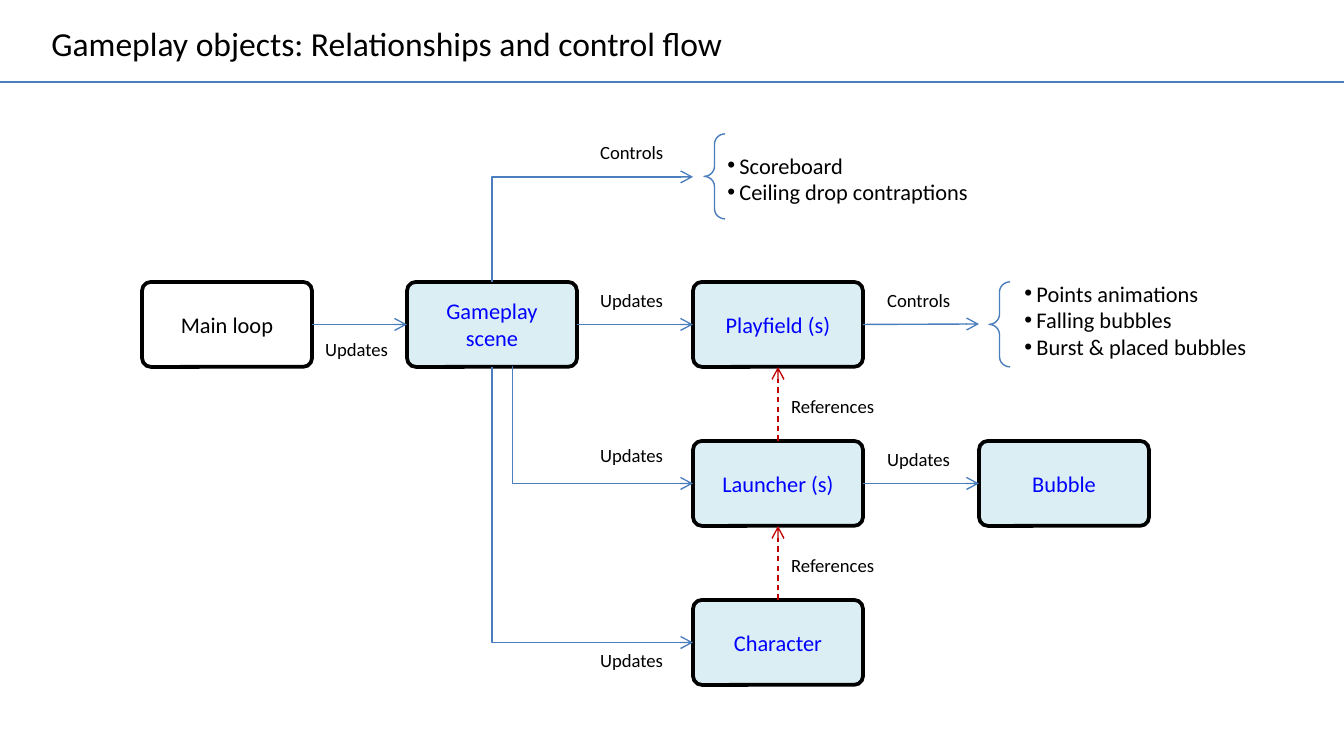
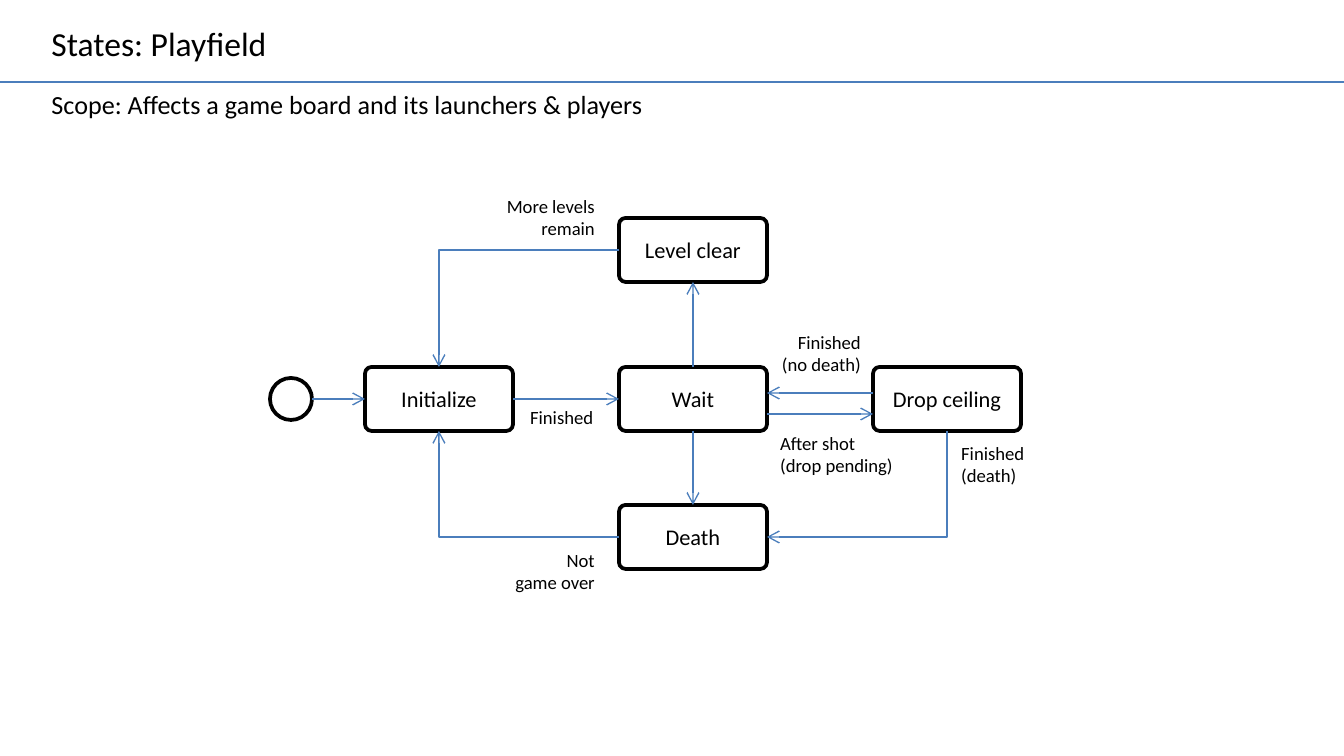
from pptx import Presentation
from pptx.dml.color import RGBColor
from pptx.enum.dml import MSO_LINE
from pptx.enum.shapes import MSO_CONNECTOR, MSO_SHAPE
from pptx.enum.text import MSO_ANCHOR, MSO_AUTO_SIZE, PP_ALIGN
from pptx.oxml.ns import qn
from pptx.util import Pt
from lxml import etree

SCALE = 914400 / 134.4
WIDE, HIGH = 1344, 756
FONT = "Calibri"
BLACK, WHITE, PALE = "000000", "FFFFFF", "DBEEF4"
LINK, WIRE, REF = "0000FF", "4B7EBC", "C00000"
LEFT, MID, RIGHT = PP_ALIGN.LEFT, PP_ALIGN.CENTER, PP_ALIGN.RIGHT
TOP, CENTRE = MSO_ANCHOR.TOP, MSO_ANCHOR.MIDDLE
FIXED = MSO_AUTO_SIZE.NONE
DASH = MSO_LINE.DASH
ROUND, OVAL, BRACE = MSO_SHAPE.ROUNDED_RECTANGLE, MSO_SHAPE.OVAL, MSO_SHAPE.LEFT_BRACE
STRAIGHT, ELBOW = MSO_CONNECTOR.STRAIGHT, MSO_CONNECTOR.ELBOW
UP, WEST, DOWN, EAST = range(4)


def emu(px):
    """Turn pixels into EMU."""
    return round(px * SCALE)


def hue(code):
    """Turn a hex string into a colour."""
    return RGBColor.from_string(code)


def place(shape, box):
    """Move and size a shape to a pixel box."""
    shape.left, shape.top, shape.width, shape.height = map(emu, box)


def write(frame, lines, size, color=BLACK, align=LEFT, anchor=TOP, wrap=True):
    """Fill a text frame with one paragraph per line."""
    frame.word_wrap = wrap
    frame.auto_size = FIXED
    frame.vertical_anchor = anchor
    for i, line in enumerate(lines):
        para = frame.add_paragraph() if i else frame.paragraphs[0]
        para.alignment = align
        para.space_before = Pt(0)
        run = para.add_run()
        run.text = line
        font = run.font
        font.name, font.size = FONT, Pt(size)
        font.color.rgb = hue(color)


def dot(para, mark=None):
    """Give a paragraph a hanging bullet, or none."""
    props = para._p.get_or_add_pPr()
    step = emu(12) if mark else 0
    props.set("marL", str(step))
    props.set("indent", str(-step))
    if mark:
        etree.SubElement(props, qn("a:buChar")).set("char", mark)
    else:
        etree.SubElement(props, qn("a:buNone"))


def body(slide, idx, box, lines, size, mark=None):
    """Place and fill a body placeholder."""
    hold = slide.placeholders[idx]
    place(hold, box)
    write(hold.text_frame, lines, size)
    for para in hold.text_frame.paragraphs:
        dot(para, mark)


def label(slide, box, *lines, align=LEFT):
    """Write a small caption beside a wire."""
    text = slide.shapes.add_textbox(*map(emu, box))
    write(text.text_frame, lines, 10, align=align, wrap=False)


def outline(slide, kind, box, line, width, fill=None):
    """Draw a preset shape with a plain line."""
    shape = slide.shapes.add_shape(kind, *map(emu, box))
    shape.shadow.inherit = False
    if fill:
        shape.fill.solid()
        shape.fill.fore_color.rgb = hue(fill)
    else:
        shape.fill.background()
    shape.line.color.rgb = hue(line)
    shape.line.width = Pt(width)
    return shape


def node(slide, box, name, color=BLACK, fill=WHITE):
    """Draw a named rounded box."""
    shape = outline(slide, ROUND, box, BLACK, 2, fill)
    shape.adjustments[0] = 0.104
    write(shape.text_frame, [name], 12, color, MID, CENTRE)
    return shape


def brace(slide, box):
    """Draw a left brace."""
    shape = outline(slide, BRACE, box, WIRE, 0.75)
    shape.adjustments[0], shape.adjustments[1] = 0.48, 0.5


def spot(end):
    """Give the EMU point of a pixel pair or of a (shape, side) pair."""
    item, side = end
    if isinstance(item, int):
        return emu(item), emu(side)
    dx, dy = {UP: (1, 0), WEST: (0, 1), DOWN: (1, 2), EAST: (2, 1)}[side]
    return item.left + item.width * dx // 2, item.top + item.height * dy // 2


def wire(slide, start, end, color=WIRE, kind=STRAIGHT, dash=None, tip=True):
    """Draw a connector, glued wherever an end names a shape."""
    line = slide.shapes.add_connector(kind, *spot(start), *spot(end))
    for pair, glue in ((start, line.begin_connect), (end, line.end_connect)):
        if not isinstance(pair[0], int):
            glue(*pair)
    line.line.color.rgb = hue(color)
    line.line.width = Pt(0.75)
    if dash:
        line.line.dash_style = dash
    if tip:
        etree.SubElement(line.line._ln, qn("a:tailEnd")).set("type", "arrow")
    etree.SubElement(line.element.spPr, qn("a:effectLst"))
    return line


def bend(slide, start, end, upright=False):
    """Draw a one-corner arrow; an upright one leaves vertically."""
    line = wire(slide, start, end, kind=ELBOW)
    props = line.element.spPr
    props.find(qn("a:prstGeom")).set("prst", "bentConnector2")
    if not upright:
        return
    (ax, ay), (bx, by) = spot(start), spot(end)
    wide, high = abs(by - ay), abs(bx - ax)
    line.left, line.top = (ax + bx - wide) // 2, (ay + by - high) // 2
    line.width, line.height = wide, high
    east, south = bx > ax, by > ay
    props.xfrm.set("rot", str((270 if east and south else 90) * 60000))
    props.xfrm.set("flipH", str(int(east)))
    props.xfrm.set("flipV", str(int(east and not south)))


def edge(slide, start, end):
    """Draw an elbow arrow that turns at its start."""
    line = wire(slide, start, end, kind=ELBOW)
    guides = line.element.spPr.find(qn("a:prstGeom")).find(qn("a:avLst"))
    guide = etree.SubElement(guides, qn("a:gd"))
    guide.set("name", "adj1")
    guide.set("fmla", "val -300")


def begin(deck, layout, title):
    """Add a slide with its title and the rule below it."""
    slide = deck.slides.add_slide(deck.slide_layouts[layout])
    place(slide.shapes.title, (38, 16, 910, 54))
    write(slide.shapes.title.text_frame, [title], 18)
    wire(slide, (0, 82), (WIDE, 82), tip=False)
    return slide


def objects(deck):
    """Build the slide of objects and their relationships."""
    slide = begin(deck, 3, "Gameplay objects: Relationships and control flow")
    wide, high, top, step = 170, 85, 282, 159
    cols = 142, 407, 693, 979

    def cell(col, row, name, color=LINK, fill=PALE):
        """Draw a node in the grid."""
        box = cols[col], top + step * row, wide, high
        return node(slide, box, name, color, fill)

    main = cell(0, 0, "Main loop", BLACK, WHITE)
    scene = cell(1, 0, "Gameplay scene")
    field = cell(2, 0, "Playfield (s)")
    gun = cell(2, 1, "Launcher (s)")
    ball = cell(3, 1, "Bubble")
    hero = cell(2, 2, "Character")

    for start, end in ((main, scene), (scene, field), (gun, ball)):
        wire(slide, (start, EAST), (end, WEST))
    wire(slide, (field, EAST), (cols[3], 324))
    for start, end in ((gun, field), (hero, gun)):
        wire(slide, (start, UP), (end, DOWN), REF, dash=DASH)
    bend(slide, (scene, UP), (cols[2], 177), True)
    bend(slide, (scene, DOWN), (hero, WEST), True)
    edge(slide, (513, top + high), (gun, WEST))

    for x, y in ((312, 331), (587, top), (587, 437), (587, 642), (874, 441)):
        label(slide, (x, y, 91, 36), "Updates")
    for x, y in ((587, 134), (874, top)):
        label(slide, (x, y, 91, 36), "Controls")
    for row in range(2):
        label(slide, (778, 388 + step * row, 113, 36), "References")

    brace(slide, (704, 134, 21, high))
    body(slide, 1, (714, 145, 286, 67),
         ["Scoreboard", "Ceiling drop contraptions"], 12, "•")
    brace(slide, (989, top, 21, high))
    body(slide, 2, (1011, 273, 254, 95),
         ["Points animations", "Falling bubbles", "Burst & placed bubbles"],
         12, "•")


def states(deck):
    """Build the slide of playfield states."""
    slide = begin(deck, 1, "States: Playfield")
    body(slide, 1, (38, 82, 645, 46),
         ["Scope: Affects a game board and its launchers & players"], 14)
    left, step, top, wide, high = 365, 254, 367, 148, 64

    def state(col, y, name):
        """Draw a state in its column."""
        return node(slide, (left + step * col, y, wide, high), name)

    init = state(0, top, "Initialize")
    wait = state(1, top, "Wait")
    drop = state(2, top, "Drop ceiling")
    clear = state(1, 218, "Level clear")
    death = state(1, 505, "Death")
    outline(slide, OVAL, (270, 378, 42, 42), BLACK, 2, WHITE)

    wire(slide, (312, 399), (init, WEST))
    wire(slide, (init, EAST), (wait, WEST))
    wire(slide, (wait, UP), (clear, DOWN))
    wire(slide, (wait, DOWN), (death, UP))
    near, far = left + step + wide, left + step * 2
    wire(slide, (far, 393), (near, 393))
    wire(slide, (near, 414), (far, 414))
    bend(slide, (drop, DOWN), (death, EAST), True)
    bend(slide, (clear, WEST), (init, UP))
    bend(slide, (death, WEST), (init, DOWN))

    label(slide, (517, 399, 91, 36), "Finished")
    label(slide, (948, 435, 95, 59), "Finished", "(death)")
    label(slide, (766, 324, 108, 59), "Finished", "(no death)", align=RIGHT)
    label(slide, (767, 425, 148, 59), "After shot", "(drop pending)")
    label(slide, (481, 188, 127, 59), "More levels", "remain", align=RIGHT)
    label(slide, (481, 542, 127, 59), "Not", "game over", align=RIGHT)


def build():
    """Make and save the deck."""
    deck = Presentation()
    deck.slide_width, deck.slide_height = emu(WIDE), emu(HIGH)
    objects(deck)
    states(deck)
    deck.save("out.pptx")


build()
